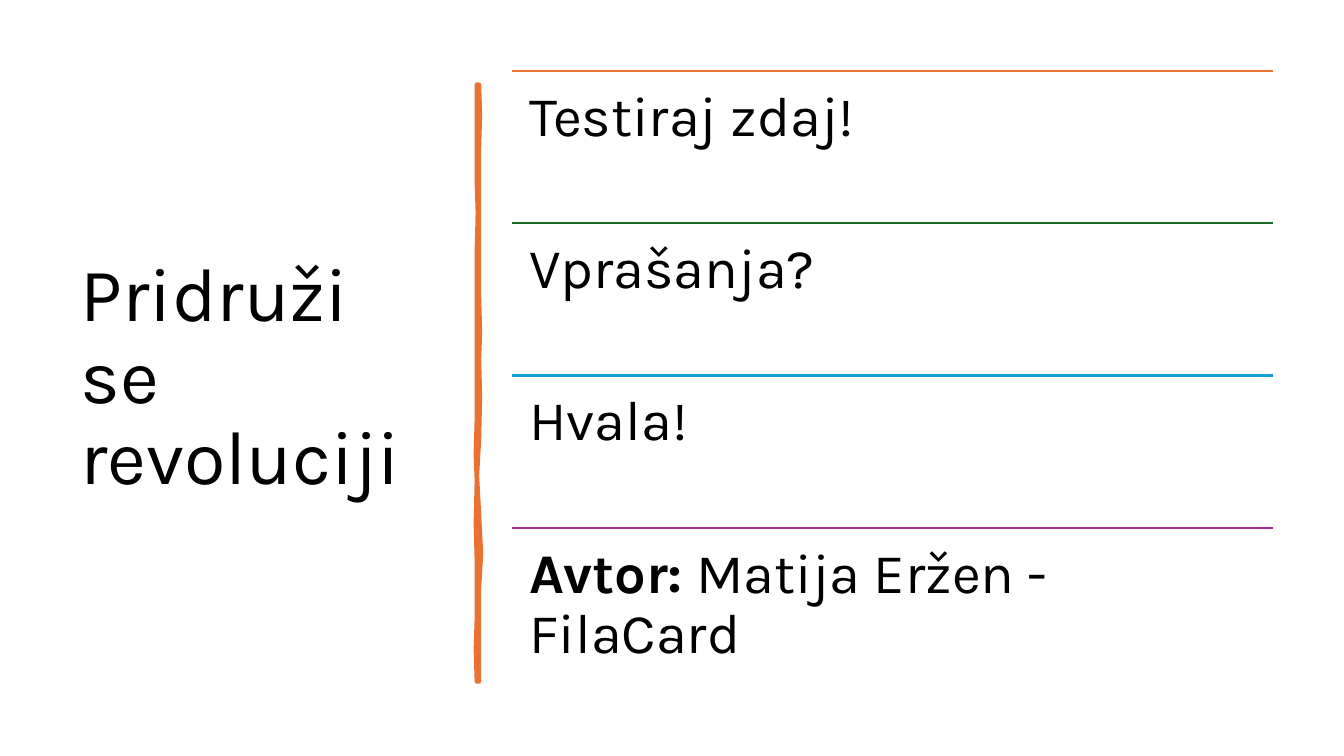
from dataclasses import dataclass

from lxml.etree import SubElement
from pptx import Presentation
from pptx.dml.color import RGBColor
from pptx.enum.shapes import MSO_CONNECTOR
from pptx.enum.text import MSO_ANCHOR as Anchor
from pptx.oxml.ns import qn
from pptx.slide import Slide
from pptx.util import Inches, Pt

BLACK = RGBColor(0x00, 0x00, 0x00)
ORANGE = RGBColor(0xE9, 0x71, 0x32)
GREEN = RGBColor(0x19, 0x6B, 0x24)
BLUE = RGBColor(0x0F, 0x9E, 0xD5)
PURPLE = RGBColor(0xA0, 0x2B, 0x93)

LIST_LEFT, LIST_TOP, LIST_WIDTH, LIST_HEIGHT = 5.08, 0.7, 7.55, 6.05


@dataclass
class Row:
    color: RGBColor
    text: str
    lead: str = ""


@dataclass
class TextStyle:
    size: int
    inset_x: float
    inset_y: float
    anchor: Anchor


TITLE = TextStyle(54, 0.1, 0.05, Anchor.MIDDLE)
ITEM = TextStyle(40, 0.17, 0.17, Anchor.TOP)

ROWS = [
    Row(ORANGE, "Testiraj zdaj!"),
    Row(GREEN, "Vprašanja?"),
    Row(BLUE, "Hvala!"),
    Row(PURPLE, " Matija Eržen - FilaCard", lead="Avtor:"),
]

# Corners of the hand-drawn divider, down the right edge and up the left
DIVIDER = [
    (4.75, 0.84), (4.76, 1.13), (4.75, 1.46), (4.75, 1.84), (4.75, 2.26),
    (4.75, 2.94), (4.76, 3.3), (4.75, 3.56), (4.76, 3.93), (4.75, 4.36),
    (4.73, 4.72), (4.75, 5.1), (4.77, 5.49), (4.75, 5.84), (4.75, 6.76),
    (4.73, 6.76), (4.72, 6.45), (4.73, 6.13), (4.73, 5.57), (4.72, 5.19),
    (4.73, 4.77), (4.72, 4.5), (4.73, 4.15), (4.73, 3.35), (4.73, 2.5),
    (4.74, 2.11), (4.73, 1.81), (4.73, 0.84),
]


def add_text(page: Slide, left: float, top: float, width: float, height: float,
             style: TextStyle, text: str, lead: str = "") -> None:
    box = page.shapes.add_textbox(Inches(left), Inches(top), Inches(width), Inches(height))
    frame = box.text_frame
    frame_format = {
        "word_wrap": True,
        "vertical_anchor": style.anchor,
        "margin_left": Inches(style.inset_x),
        "margin_right": Inches(style.inset_x),
        "margin_top": Inches(style.inset_y),
        "margin_bottom": Inches(style.inset_y),
    }
    for name, value in frame_format.items():
        setattr(frame, name, value)
    para = frame.paragraphs[0]
    para.line_spacing = 0.9
    for words, bold in ((lead, True), (text, False)):
        if words:
            span = para.add_run()
            span.text = words
            for name, value in {"name": "Karla", "size": Pt(style.size), "bold": bold}.items():
                setattr(span.font, name, value)
            span.font.color.rgb = BLACK


def add_rule(page: Slide, top: float, color: RGBColor) -> None:
    rule = page.shapes.add_connector(
        MSO_CONNECTOR.STRAIGHT, Inches(LIST_LEFT), Inches(top),
        Inches(LIST_LEFT + LIST_WIDTH), Inches(top))
    rule.line.color.rgb = color
    rule.line.width = Pt(1.5)
    SubElement(rule._element.spPr, qn("a:effectLst"))


def add_divider(page: Slide) -> None:
    start, *corners = [(Inches(x), Inches(y)) for x, y in DIVIDER]
    builder = page.shapes.build_freeform(*start)
    builder.add_line_segments(corners, close=True)
    divider = builder.convert_to_shape()
    divider.shadow.inherit = False
    divider.fill.solid()
    divider.fill.fore_color.rgb = ORANGE
    divider.line.color.rgb = ORANGE
    divider.line.width = Pt(3.25)
    # Round pen ends and corners
    outline = divider.line._get_or_add_ln()
    outline.set("cap", "rnd")
    SubElement(outline, qn("a:round"))


def main() -> None:
    deck = Presentation()
    deck.slide_width, deck.slide_height = Inches(13.33), Inches(7.5)
    page = deck.slides.add_slide(deck.slide_layouts[6])

    # Title and divider
    add_text(page, 0.7, 0.7, 3.74, 6.11, TITLE, "Pridruži se revoluciji")
    add_divider(page)

    # Ruled list
    row_height = LIST_HEIGHT / len(ROWS)
    for index, row in enumerate(ROWS):
        top = LIST_TOP + index * row_height
        add_rule(page, top, row.color)
        add_text(page, LIST_LEFT, top, LIST_WIDTH, row_height, ITEM, row.text, row.lead)

    deck.save("out.pptx")


if __name__ == "__main__":
    main()
